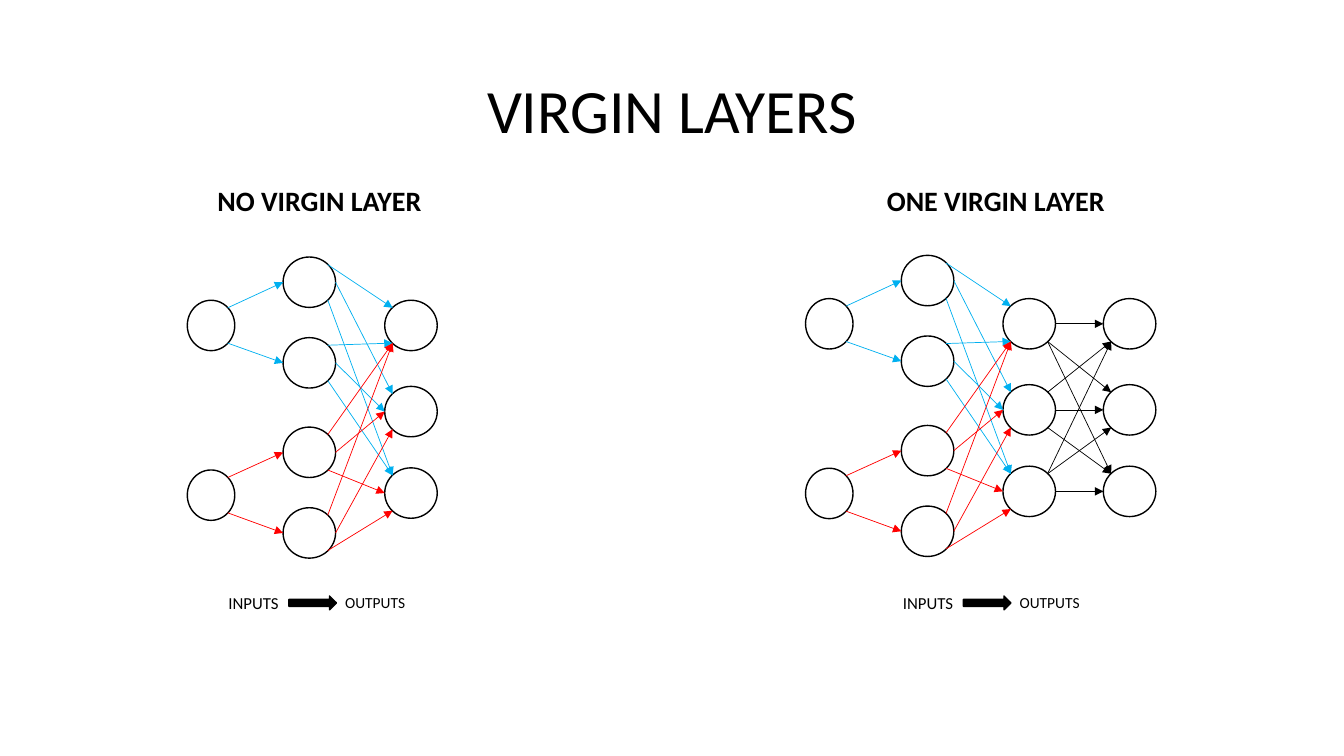
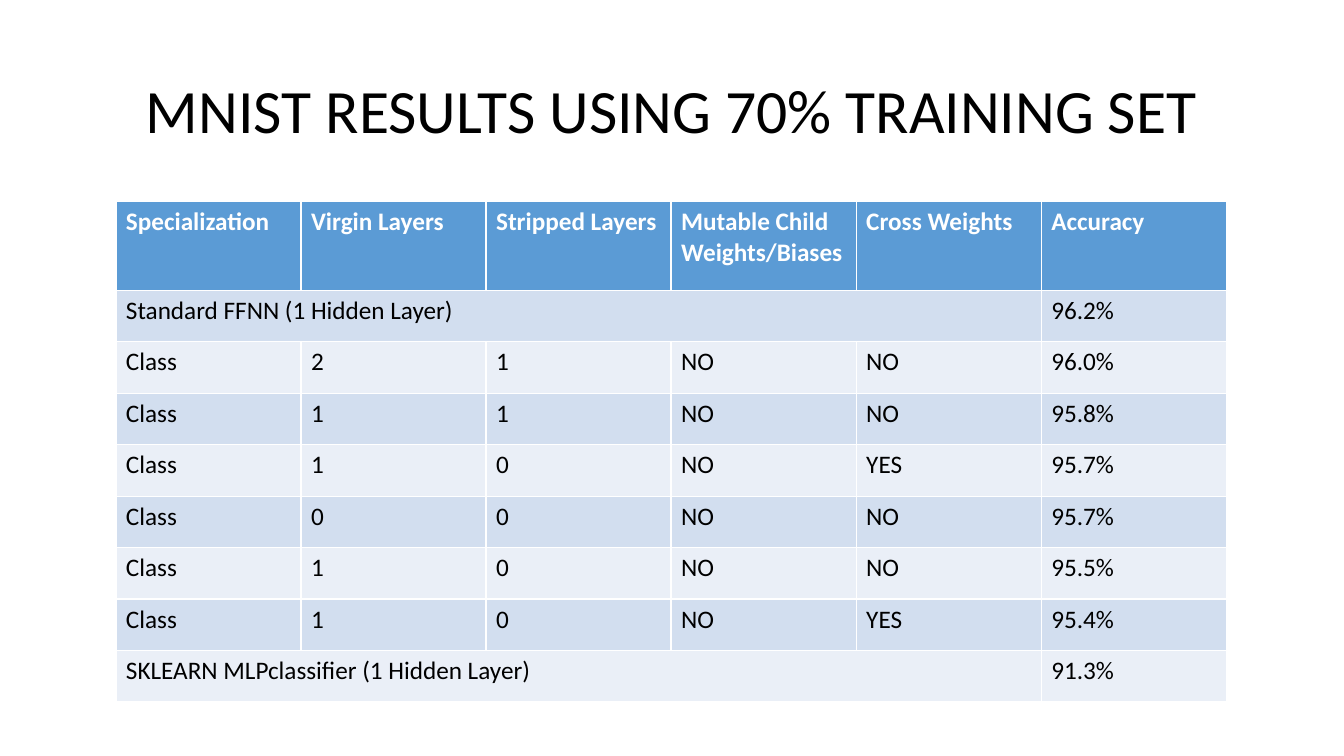
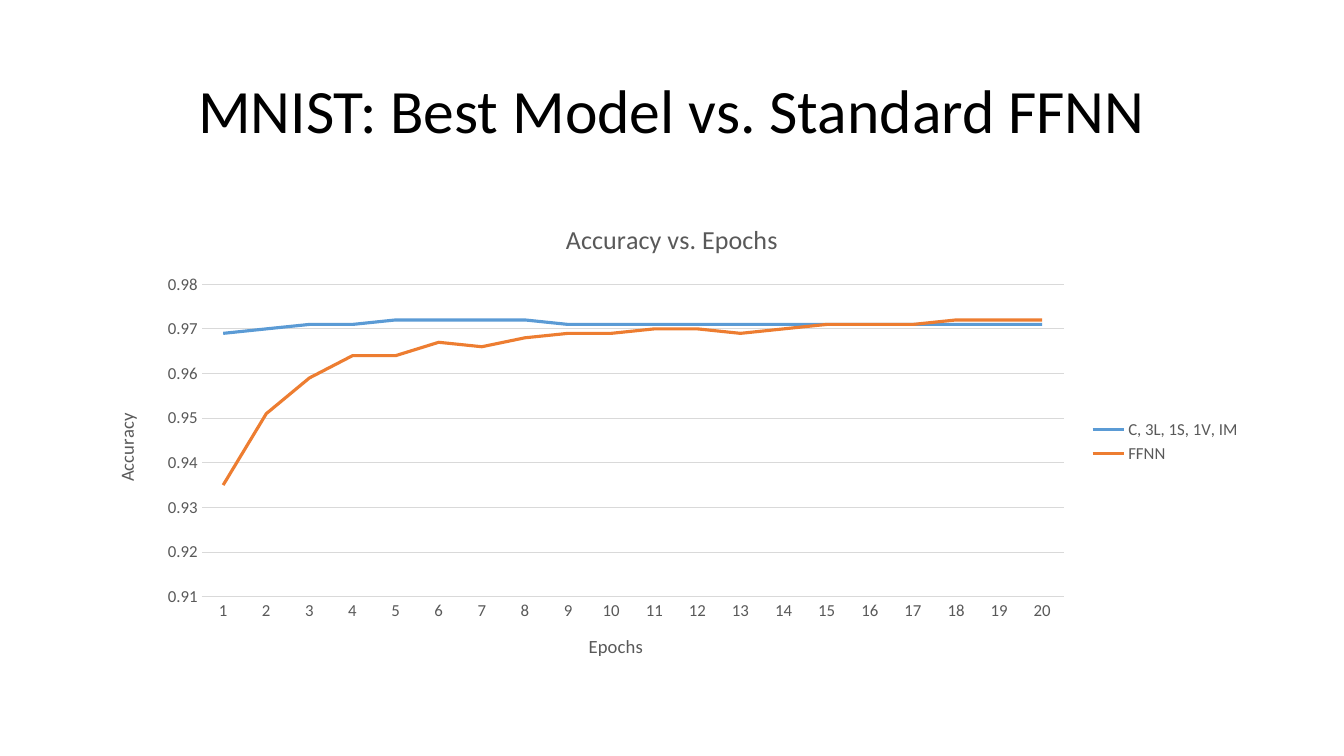
"""Build three slides on virgin layers and the MNIST results."""
from lxml.etree import SubElement
from pptx import Presentation
from pptx.chart.data import CategoryChartData
from pptx.dml.color import RGBColor
from pptx.enum.chart import XL_CHART_TYPE as CHART, XL_LEGEND_POSITION as LEGEND, XL_TICK_MARK as TICK
from pptx.enum.shapes import MSO_CONNECTOR as LINK, MSO_SHAPE as SHAPE
from pptx.enum.text import MSO_ANCHOR as ANCHOR, PP_ALIGN as ALIGN
from pptx.oxml.ns import qn
from pptx.util import Inches, Pt

FONT = "Calibri"
HEX = {
    "black": "000000", "white": "FFFFFF", "cyan": "00B0F0", "red": "FF0000",
    "blue": "5B9BD5", "orange": "ED7D31", "band": "D2DEEF", "pale": "EAEFF7",
    "gray": "595959", "grid": "D9D9D9",
}
COLOR = {name: RGBColor.from_string(code) for name, code in HEX.items()}

deck = Presentation()
deck.slide_width, deck.slide_height = Inches(13.33), Inches(7.5)
COL, ROW = deck.slide_width / 160, deck.slide_height / 90


def area(col, row, cols, rows):
    return round(col * COL), round(row * ROW), round(cols * COL), round(rows * ROW)


def write(frame, words, size=18, color="black", bold=False, align=ALIGN.LEFT, spacing=1.0):
    paragraph = frame.paragraphs[0]
    paragraph.alignment, paragraph.line_spacing = align, spacing
    run = paragraph.add_run()
    run.text = words
    run.font.name, run.font.size, run.font.bold = FONT, Pt(size), bold
    run.font.color.rgb = COLOR[color]


slides = []
for heading in ("VIRGIN LAYERS", "MNIST RESULTS USING 70% TRAINING SET",
                "MNIST: Best Model vs. Standard FFNN"):
    slide = deck.slides.add_slide(deck.slide_layouts[6])
    title = slide.shapes.add_textbox(*area(11, 4.8, 138, 17.4)).text_frame
    title.word_wrap, title.vertical_anchor = True, ANCHOR.MIDDLE
    write(title, heading, size=44, align=ALIGN.CENTER, spacing=0.9)
    slides.append(slide)
layers_slide, results_slide, epochs_slide = slides

LAYERS = {
    "in": (0, 5.65, (35.75, 55.95)),
    "hid": (11.4, 6.25, (30.6, 40.2, 50.85, 60.45)),
    "out": (23.5, 6.25, (35.75, 46, 55.7)),
    "virgin": (35.45, 6.25, (35.75, 46, 55.7)),
}
NODE_HEIGHT = 6
PORTS = {"tl": (0.15, 0.15), "l": (0, 0.5), "bl": (0.15, 0.85),
         "tr": (0.85, 0.15), "r": (1, 0.5), "br": (0.85, 0.85)}
LINKS = [
    ("cyan", "in", "hid", "0 tr 0 l, 0 br 1 l"),
    ("cyan", "hid", "out", "0 tr 0 tl, 0 r 1 tl, 0 br 2 tl, 1 tr 0 bl, 1 r 1 l, 1 br 2 tl"),
    ("red", "in", "hid", "1 tr 2 l, 1 br 3 l"),
    ("red", "hid", "out", "2 tr 0 bl, 2 r 1 l, 2 br 2 l, 3 tr 0 bl, 3 r 1 bl, 3 br 2 bl"),
    ("black", "out", "virgin", "0 r 0 l, 0 br 1 tl, 0 br 2 tl, 1 tr 0 bl, 1 r 1 l, "
                               "1 br 2 tl, 2 tr 0 bl, 2 tr 1 bl, 2 r 2 l"),
]
NETWORKS = [
    ("NO VIRGIN LAYER", 24.7, 26.9, 22.3, 0, 26, ("in", "hid", "out")),
    ("ONE VIRGIN LAYER", 104.4, 28.6, 95.9, -0.2, 106.3, tuple(LAYERS)),
]
shapes = layers_slide.shapes
for caption, caption_col, caption_cols, left, shift, key_col, used in NETWORKS:
    nodes = {}
    symbols = []
    for layer in used:
        offset, cols, rows = LAYERS[layer]
        for index, row in enumerate(rows):
            nodes[layer, index] = area(left + offset, row + shift, cols, NODE_HEIGHT)
            symbols.append((SHAPE.FLOWCHART_CONNECTOR, nodes[layer, index], "white"))
    symbols.append((SHAPE.RIGHT_ARROW, area(key_col + 8.4, 70.95, 5.65, 1.65), "black"))
    for kind, place, fill in symbols:
        symbol = shapes.add_shape(kind, *place)
        symbol.shadow.inherit = False
        symbol.fill.solid()
        symbol.fill.fore_color.rgb = COLOR[fill]
        symbol.line.color.rgb, symbol.line.width = COLOR["black"], Pt(1)

    for color, source, target, routes in LINKS:
        if target not in used:
            continue
        for route in routes.split(", "):
            start, exit_port, end, entry_port = route.split()
            points = []
            for node, port in (((source, int(start)), exit_port), ((target, int(end)), entry_port)):
                x, y, width, height = nodes[node]
                across, down = PORTS[port]
                points += [round(x + across * width), round(y + down * height)]
            weight = shapes.add_connector(LINK.STRAIGHT, *points)
            weight.line.color.rgb, weight.line.width = COLOR[color], Pt(0.5)
            properties = weight.element.spPr
            SubElement(properties.find(qn("a:ln")), qn("a:tailEnd"), type="triangle")
            SubElement(properties, qn("a:effectLst"))

    for words, place, size, bold in (
        (caption, (caption_col, 21.3, caption_cols, 5.3), 20, True),
        ("INPUTS", (key_col, 70, 8.5, 3.6), 12, False),
        ("OUTPUTS", (key_col + 13.9, 70, 9.9, 3.5), 11, False),
    ):
        label = shapes.add_textbox(*area(*place)).text_frame
        label.word_wrap = False
        write(label, words, size=size, bold=bold)

RESULTS = [
    ("Specialization", "Virgin Layers", "Stripped Layers", "Mutable Child Weights/Biases",
     "Cross Weights", "Accuracy"),
    ("Standard FFNN (1 Hidden Layer)", "", "", "", "", "96.2%"),
    ("Class", "2", "1", "NO", "NO", "96.0%"),
    ("Class", "1", "1", "NO", "NO", "95.8%"),
    ("Class", "1", "0", "NO", "YES", "95.7%"),
    ("Class", "0", "0", "NO", "NO", "95.7%"),
    ("Class", "1", "0", "NO", "NO", "95.5%"),
    ("Class", "1", "0", "NO", "YES", "95.4%"),
    ("SKLEARN MLPclassifier (1 Hidden Layer)", "", "", "", "", "91.3%"),
]
HEADER_ROWS, BODY_ROWS = 10.55, 6.13
results = results_slide.shapes.add_table(
    len(RESULTS), len(RESULTS[0]),
    *area(13.8, 24, 132.2, HEADER_ROWS + BODY_ROWS * (len(RESULTS) - 1))).table
for number, record in enumerate(RESULTS):
    header = number == 0
    results.rows[number].height = round((HEADER_ROWS if header else BODY_ROWS) * ROW)
    for position, words in enumerate(record):
        cell = results.cell(number, position)
        cell.fill.solid()
        cell.fill.fore_color.rgb = COLOR["blue" if header else "band" if number % 2 else "pale"]
        if words:
            write(cell.text_frame, words, color="white" if header else "black", bold=header)
    if not record[1]:
        results.cell(number, 0).merge(results.cell(number, 4))

ACCURACY = {
    "C, 3L, 1S, 1V, IM": ("blue", (
        0.969, 0.970, 0.971, 0.971, 0.972, 0.972, 0.972, 0.972, 0.971, 0.971,
        0.971, 0.971, 0.971, 0.971, 0.971, 0.971, 0.971, 0.971, 0.971, 0.971)),
    "FFNN": ("orange", (
        0.935, 0.951, 0.959, 0.964, 0.964, 0.967, 0.966, 0.968, 0.969, 0.969,
        0.970, 0.970, 0.969, 0.970, 0.971, 0.971, 0.971, 0.972, 0.972, 0.972)),
}
history = CategoryChartData(number_format="General")
history.categories = [str(epoch) for epoch in range(1, 21)]
for model, (color, values) in ACCURACY.items():
    history.add_series(model, values)
chart = epochs_slide.shapes.add_chart(CHART.LINE, *area(11, 24, 138, 57.1), history).chart
chart.font.name, chart.font.size = FONT, Pt(12)
chart.font.color.rgb = COLOR["gray"]
chart.has_title = True
write(chart.chart_title.text_frame, "Accuracy vs. Epochs", size=18.6, color="gray", align=ALIGN.CENTER)
chart.has_legend = True
chart.legend.position, chart.legend.include_in_layout = LEGEND.RIGHT, False

plot = chart.plots[0]
plot.vary_by_categories = False
for curve in plot.series:
    curve.smooth = False
    curve.format.line.color.rgb = COLOR[ACCURACY[curve.name][0]]
    curve.format.line.width = Pt(2.25)

epochs, accuracy = chart.category_axis, chart.value_axis
for axis, words in ((epochs, "Epochs"), (accuracy, "Accuracy")):
    axis.major_tick_mark = axis.minor_tick_mark = TICK.NONE
    write(axis.axis_title.text_frame, words, size=13.3, color="gray", align=ALIGN.CENTER)
accuracy.minimum_scale, accuracy.maximum_scale, accuracy.major_unit = 0.91, 0.98, 0.01
accuracy.tick_labels.number_format = "0.00"
accuracy.tick_labels.number_format_is_linked = False
accuracy.format.line.fill.background()
for rule in (epochs.format.line, accuracy.major_gridlines.format.line):
    rule.color.rgb, rule.width = COLOR["grid"], Pt(0.75)

deck.save("out.pptx")
